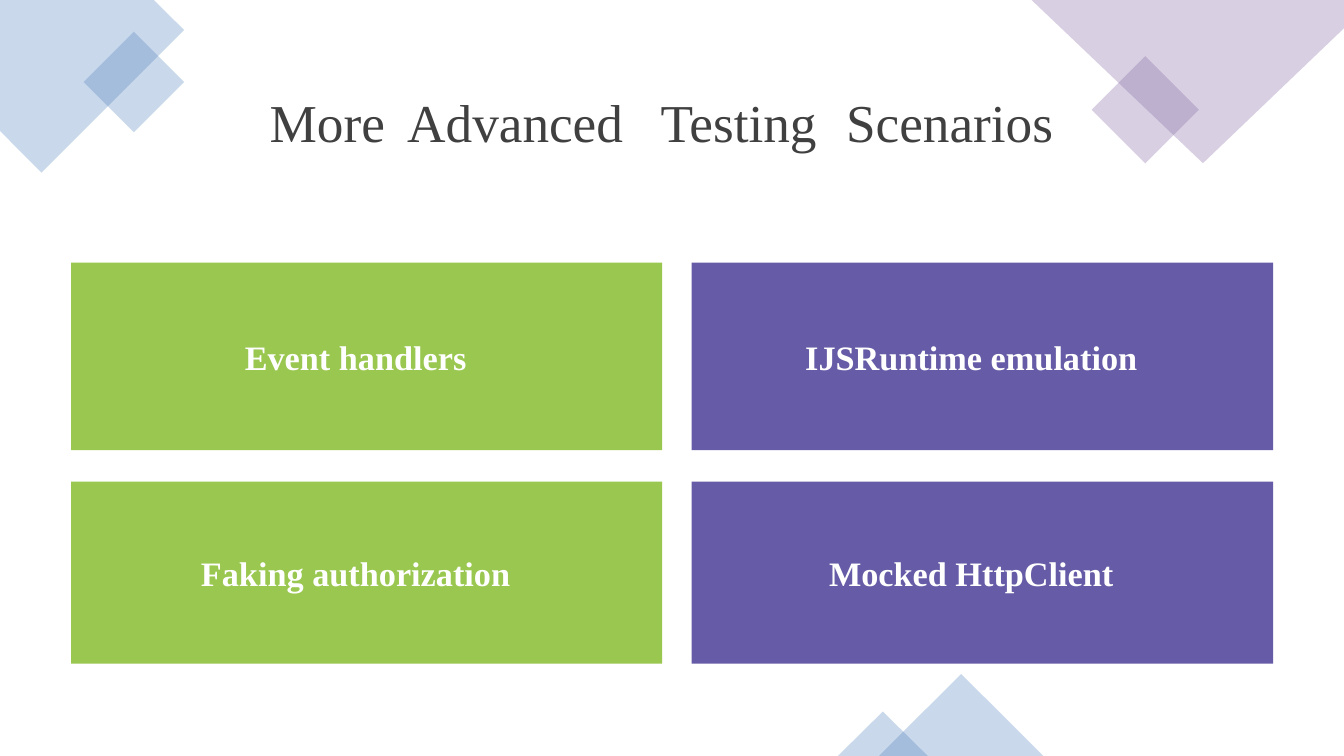
from dataclasses import dataclass

from lxml.etree import SubElement
from pptx import Presentation
from pptx.dml.color import RGBColor
from pptx.enum.shapes import MSO_SHAPE
from pptx.enum.text import MSO_ANCHOR, PP_ALIGN
from pptx.oxml.ns import qn
from pptx.util import Cm, Pt


@dataclass(frozen=True)
class Theme:
    font: str = "Times New Roman"
    title_size: float = 57.1
    card_size: float = 36.7
    title: str = "3F403F"
    card_text: str = "FEFFFE"
    green: str = "9AC74F"
    violet: str = "665BA6"
    blue: str = "4F81BD"
    purple: str = "8064A2"
    decor_alpha: int = 30


THEME = Theme()


def paint(sp, color, alpha=100):
    sp.shadow.inherit = False
    sp.line.fill.background()
    sp.fill.solid()
    sp.fill.fore_color.rgb = RGBColor.from_string(color)
    if alpha < 100:
        clr = sp.fill._xPr.find(qn("a:solidFill"))[0]
        SubElement(clr, qn("a:alpha"), val=str(alpha * 1000))


def add_run(p, text, size, color, bold=False):
    r = p.add_run()
    r.text = text
    r.font.name = THEME.font
    r.font.size = Pt(size)
    r.font.bold = bold
    r.font.color.rgb = RGBColor.from_string(color)


def set_frame(tf, right=0.0):
    tf.word_wrap = True
    tf.margin_left = tf.margin_top = tf.margin_bottom = 0
    tf.margin_right = Cm(right)


def add_decor(s, kind, box, color):
    sp = s.shapes.add_shape(kind, *map(Cm, box))
    paint(sp, color, THEME.decor_alpha)


def add_corner(s, points, color):
    start, *rest = [(Cm(x), Cm(y)) for x, y in points]
    builder = s.shapes.build_freeform(*start)
    builder.add_line_segments(rest, close=True)
    paint(builder.convert_to_shape(), color, THEME.decor_alpha)


def add_title(s, words, box, tab_stops):
    tf = s.shapes.add_textbox(*map(Cm, box)).text_frame
    set_frame(tf)
    p = tf.paragraphs[0]
    # Tab stops hold the wide word gaps
    tabs = SubElement(p._p.get_or_add_pPr(), qn("a:tabLst"))
    for stop in tab_stops:
        SubElement(tabs, qn("a:tab"), pos=str(Cm(stop)), algn="l")
    for i, word in enumerate(words):
        add_run(p, "\t" + word if i else word, THEME.title_size, THEME.title)


def add_card(s, text, box, color):
    sp = s.shapes.add_shape(MSO_SHAPE.RECTANGLE, *map(Cm, box))
    paint(sp, color)
    tf = sp.text_frame
    set_frame(tf, right=0.83)
    tf.vertical_anchor = MSO_ANCHOR.MIDDLE
    p = tf.paragraphs[0]
    p.alignment = PP_ALIGN.CENTER
    add_run(p, text, THEME.card_size, THEME.card_text, bold=True)


def main():
    prs = Presentation()
    prs.slide_width, prs.slide_height = Cm(50.8), Cm(28.58)
    s = prs.slides.add_slide(prs.slide_layouts[6])

    # Corner and edge decoration
    add_corner(s, [(0, 0), (5.82, 0), (6.96, 1.14), (1.57, 6.53), (0, 4.95)],
               THEME.blue)
    add_decor(s, MSO_SHAPE.DIAMOND, (3.16, 1.2, 3.8, 3.8), THEME.blue)
    add_decor(s, MSO_SHAPE.DIAMOND, (41.26, 2.12, 4.06, 4.06), THEME.purple)
    add_corner(s, [(50.8, 0), (38.99, 0), (45.47, 6.17), (50.8, 1.07)],
               THEME.purple)
    for box in ((33.22, 25.48, 6.22, 3.1), (31.67, 26.9, 3.4, 1.68)):
        add_decor(s, MSO_SHAPE.ISOSCELES_TRIANGLE, box, THEME.blue)

    # Title
    add_title(s, ["More", "Advanced", "Testing", "Scenarios"],
              (10.19, 3.39, 30.9, 2.23), (5.2, 14.78, 21.79))

    # Scenario cards, two by two
    columns = ((2.69, 22.34, THEME.green), (26.14, 21.98, THEME.violet))
    rows = (
        (9.93, 7.09, ("Event handlers", "IJSRuntime emulation")),
        (18.21, 6.88, ("Faking authorization", "Mocked HttpClient")),
    )
    for top, height, texts in rows:
        for (left, width, color), text in zip(columns, texts):
            add_card(s, text, (left, top, width, height), color)

    prs.save("out.pptx")


main()
